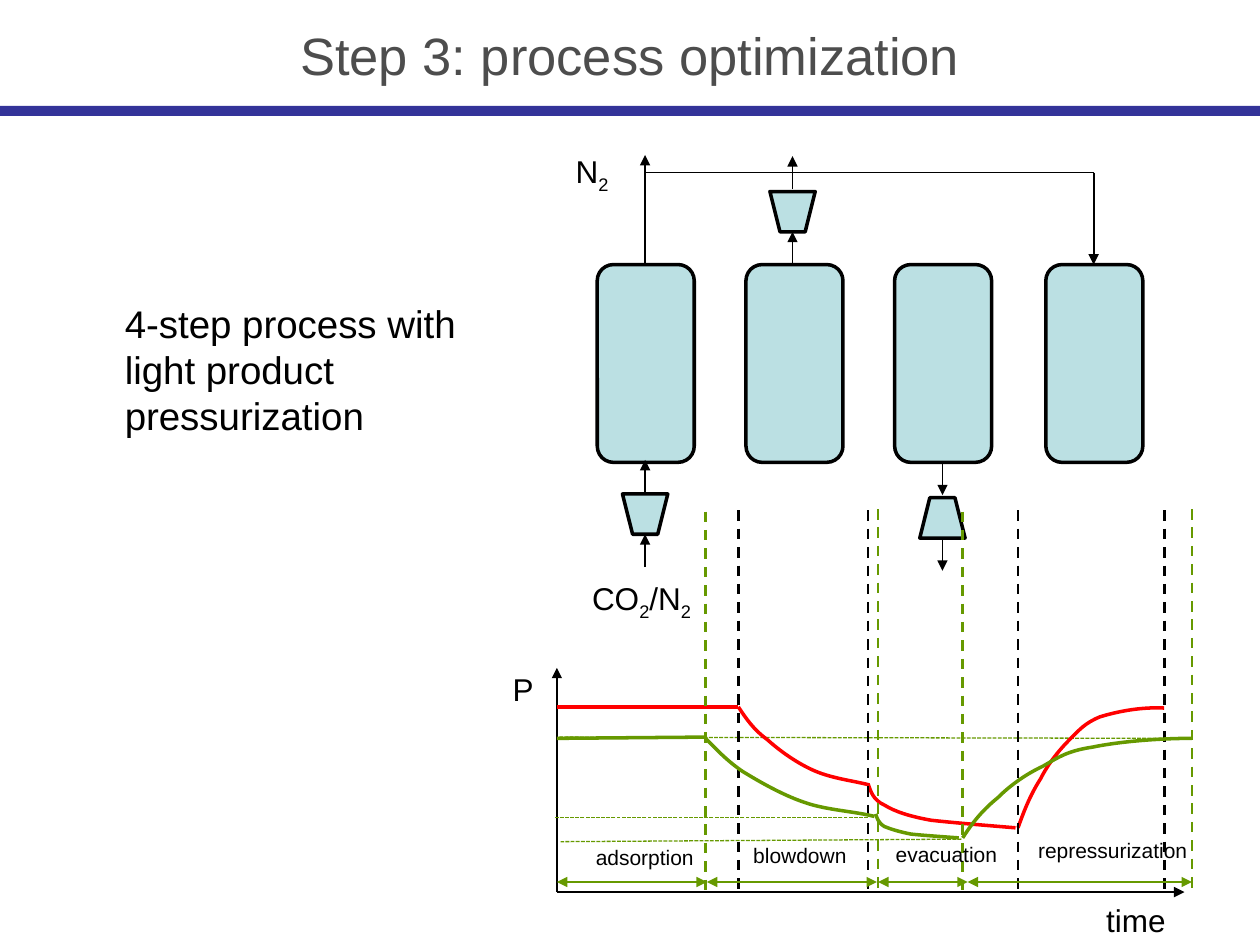
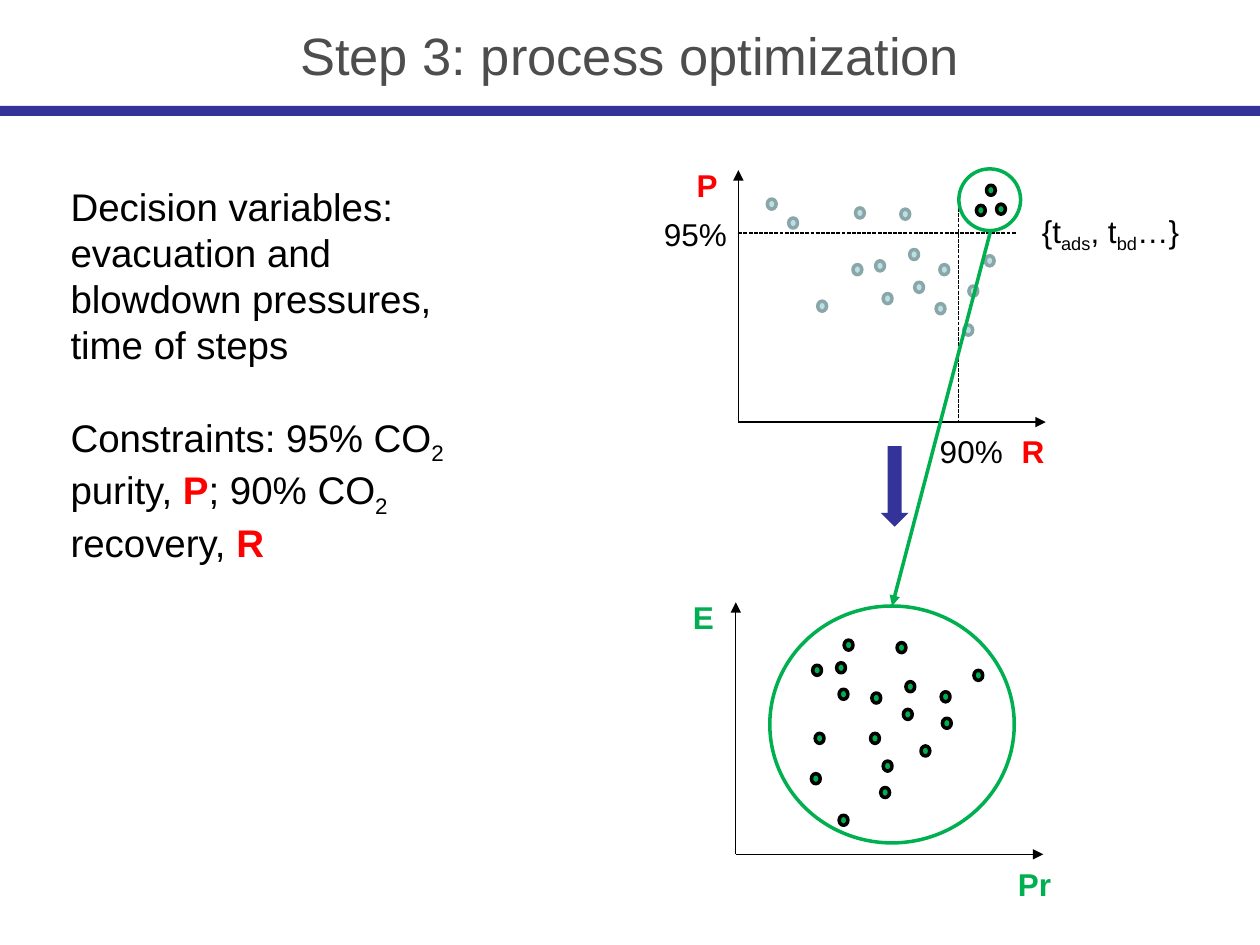
import lxml.etree
import pptx
import pptx.dml.color
import pptx.enum.dml
import pptx.enum.shapes
import pptx.enum.text
import pptx.oxml.ns
import pptx.util

PX = 9144  # EMU per px, 100 px to the inch
SHAPES = pptx.enum.shapes.MSO_SHAPE
DASHES = pptx.enum.dml.MSO_LINE
ALIGN = pptx.enum.text.PP_ALIGN
ANCHOR = pptx.enum.text.MSO_ANCHOR


class Theme:
    font = "Arial"
    title, ink, band = "4D4D4D", "000000", "333399"
    vessel, faded = "BBE0E3", "8AA6A8"
    red, olive, green = "FF0000", "669900", "00B050"
    title_size, body_size, label_size, step_size = 30, 22, 18, 12
    thin, rule, arrow, dash, thick = 0.75, 1, 1.25, 1.5, 2


SUB = {"baseline": -25000}
RED = {"bold": True, "color": Theme.red}
GREEN = {"bold": True, "color": Theme.green}

# ---- Shared content ----
TITLE = "Step 3: process optimization"
TITLE_BOX, BAND_BOX = (0, 7, 1000, 73), (0, 84, 1000, 8)

# ---- Slide 1 content: process diagram and pressure profile ----
PROCESS_BODY = [["4-step process with\nlight product pressurization"]]
PROCESS_BODY_BOX = (89, 233, 365, 121)
VESSEL_LEFTS, VESSEL_TOP, VESSEL_SIZE = (434, 552, 670, 790), 250, (157, 77)
MACHINES = [  # left, top, rotation
    (494, 392, 180),
    (611, 152, 180),
    (730, 395, 0),
]
FLOWS = [  # vertical arrows: x, from y, to y
    (512, 450, 424), (512, 391, 365), (512, 209, 123),
    (629, 209, 184), (629, 150, 124),
    (748, 368, 393), (748, 427, 453),
]
RECYCLE = [((512, 137), (868, 137), False), ((868, 137), (868, 210), True)]
PROCESS_LABELS = [  # left, top, width, runs
    (460, 455, 102, ["CO", ("2", SUB), "/N", ("2", SUB)]),
    (447, 116, 48, ["N", ("2", SUB)]),
    (397, 527, 39, ["P"]),
    (868, 710, 68, ["time"]),
]
STEP_LABELS = [
    (463, 665, 98, ["adsorption"]),
    (588, 664, 94, ["blowdown"]),
    (701, 663, 101, ["evacuation"]),
    (814, 660, 139, ["repressurization"]),
]
STEP_SPANS, STEP_Y = [(442, 561), (561, 696), (697, 768), (768, 946)], 700
RED_LIMITS = [(586, 405), (689, 405), (808, 405), (924, 405)]  # x, top
OLIVE_LIMITS = [(560, 406), (697, 404), (764, 406), (946, 404)]
LIMIT_HEIGHT = 303
LEVELS = [((763, 666), (445, 668)), ((926, 586), (443, 585)), ((689, 649), (440, 649))]
RED_PLATEAU = ((442, 561), (586, 561))
RED_CURVES = [  # start, then two controls and an end for each piece
    [(586, 561), (592, 570), (598, 579), (609, 587), (619, 596), (633, 606),
     (647, 612), (661, 618), (679, 620), (690, 623)],
    [(689, 622), (691, 628), (693, 635), (702, 639), (710, 644), (722, 648),
     (739, 651), (757, 653), (782, 655), (806, 657)],
    [(808, 657), (814, 640), (819, 629), (826, 618), (832, 606), (841, 595),
     (849, 587), (857, 579), (861, 574), (873, 569), (886, 565), (905, 561), (924, 562)],
]
OLIVE_PLATEAU = ((442, 586), (559, 585))
OLIVE_CURVES = [
    [(560, 586), (568, 594), (576, 603), (589, 612), (602, 620), (621, 631),
     (639, 637), (656, 643), (679, 644), (694, 648)],
    [(695, 646), (696, 649), (697, 653), (702, 656), (707, 658), (713, 660),
     (723, 662), (733, 663), (747, 664), (761, 665)],
    [(764, 665), (773, 651), (781, 642), (792, 633), (802, 623), (815, 614),
     (828, 608), (840, 601), (847, 596), (867, 593), (886, 589), (917, 586), (946, 586)],
]

# ---- Slide 2 content: constraint and objective plots ----
DECISION_BODY = [
    ["Decision variables: evacuation and blowdown pressures, time of steps"],
    ["Constraints: 95% CO", ("2", SUB), " purity, ", ("P", RED), "; 90% CO",
     ("2", SUB), " recovery, ", ("R", RED)],
]
DECISION_BODY_BOX = (46, 140, 365, 306)
DECISION_LABELS = [
    (543, 127, 35, [("P", RED)]),
    (517, 166, 71, ["95%"]),
    (736, 338, 71, ["90%"]),
    (801, 338, 38, [("R", RED)]),
    (817, 163, 136, ["{t", ("ads", SUB), ", t", ("bd", SUB), "…}"]),
    (540, 470, 35, [("E", GREEN)]),
    (798, 682, 47, [("Pr", GREEN)]),
]
CONSTRAINTS = [((586, 185), (806, 185)), ((761, 157), (761, 335))]
DOT_SIZE = (7, 8)
REJECTED = [
    (649, 239), (695, 207), (701, 233), (677, 210), (726, 224), (743, 241),
    (765, 258), (609, 158), (626, 173), (679, 165), (715, 166), (746, 210),
    (722, 198), (782, 203), (769, 227),
]
FEASIBLE = [(775, 163), (791, 162), (783, 147)]
OBJECTIVES = [
    (647, 582), (692, 550), (644, 614), (664, 526), (691, 582), (701, 604),
    (666, 647), (645, 528), (670, 508), (666, 547), (712, 510), (717, 563),
    (719, 541), (747, 549), (731, 592), (699, 625), (748, 570), (773, 532),
]
ZOOM_CIRCLES = [(761, 134, 49, 49), (611, 481, 194, 188)]
ZOOM_ARROW = ((786, 184), (708, 481))
DOWN_ARROW = (699, 354, 22, 64)


# ---- Helpers ----
def emu(lengths):
    return [pptx.util.Emu(round(length * PX)) for length in lengths]


def rgb(color):
    return pptx.dml.color.RGBColor.from_string(color)


def set_all(target, **values):
    for name, value in values.items():
        setattr(target, name, value)


def add_element(parent, tag, **attributes):
    return lxml.etree.SubElement(parent, pptx.oxml.ns.qn(tag), **attributes)


def add_runs(paragraph, runs, size, color=Theme.ink):
    for item in runs:
        text, style = item if isinstance(item, tuple) else (item, {})
        for number, line in enumerate(text.split("\n")):
            if number:
                paragraph.add_line_break()
            run = paragraph.add_run()
            run.text = line
            set_all(run.font, name=Theme.font, size=pptx.util.Pt(size),
                    bold=style.get("bold", False))
            run.font.color.rgb = rgb(style.get("color", color))
            if "baseline" in style:
                run._r.get_or_add_rPr().set("baseline", str(style["baseline"]))


def place(shape, box):
    set_all(shape, **dict(zip(("left", "top", "width", "height"), emu(box))))


def paint(shape, fill=None, line=None, width=Theme.thick):
    shape.shadow.inherit = False
    for part, color in ((shape.fill, fill), (shape.line.fill, line)):
        if color:
            part.solid()
            part.fore_color.rgb = rgb(color)
        else:
            part.background()
    if line:
        shape.line.width = pptx.util.Pt(width)


def add_shape(slide, kind, box, fill=None, line=None, rotation=0):
    shape = slide.shapes.add_shape(kind, *emu(box))
    shape.rotation = rotation
    paint(shape, fill, line)


def add_line(slide, start, end, color=Theme.ink, width=Theme.thin, dash=None, ends=()):
    connector = slide.shapes.add_connector(
        pptx.enum.shapes.MSO_CONNECTOR.STRAIGHT, *emu(start + end))
    connector.line.color.rgb = rgb(color)
    set_all(connector.line, width=pptx.util.Pt(width), dash_style=dash)
    for end_name in ends:
        add_element(connector.line._get_or_add_ln(), f"a:{end_name}", type="triangle")
    add_element(connector._element.spPr, "a:effectLst")


def add_arrow(slide, start, end, **style):
    add_line(slide, start, end, ends=("tailEnd",), **style)


def add_axes(slide, origin, top, right):
    add_arrow(slide, origin, (origin[0], top))
    add_arrow(slide, origin, (right, origin[1]))


def add_curve(slide, knots, color):
    points = [emu(knot) for knot in knots]
    builder = slide.shapes.build_freeform(*points[0], scale=1.0)
    builder.add_line_segments(points[1:], close=False)
    curve = builder.convert_to_shape()
    # Every three straight segments become one Bezier piece
    outline = next(curve._element.iter(pptx.oxml.ns.qn("a:path")))
    segments = list(outline)[1:]
    for first in range(0, len(segments), 3):
        piece = add_element(outline, "a:cubicBezTo")
        for segment in segments[first:first + 3]:
            piece.append(segment[0])
            outline.remove(segment)
    paint(curve, line=color)


def add_labels(slide, labels, size, height):
    for left, top, width, runs in labels:
        frame = slide.shapes.add_textbox(*emu((left, top, width, height))).text_frame
        frame.word_wrap = False
        add_runs(frame.paragraphs[0], runs, size)


def add_dots(slide, corners, fill, line):
    for corner in corners:
        add_shape(slide, SHAPES.OVAL, corner + DOT_SIZE, fill, line)


def add_slide(presentation, body, body_box):
    slide = presentation.slides.add_slide(presentation.slide_layouts[1])
    title, content = slide.shapes.title, slide.placeholders[1]
    for shape, box, anchor in ((title, TITLE_BOX, ANCHOR.MIDDLE),
                               (content, body_box, ANCHOR.TOP)):
        place(shape, box)
        set_all(shape.text_frame, vertical_anchor=anchor, word_wrap=True,
                auto_size=pptx.enum.text.MSO_AUTO_SIZE.NONE)
    heading = title.text_frame.paragraphs[0]
    heading.alignment = ALIGN.CENTER
    add_runs(heading, [TITLE], Theme.title_size, Theme.title)
    frame = content.text_frame
    for number, runs in enumerate(body):
        paragraph = frame.add_paragraph() if number else frame.paragraphs[0]
        set_all(paragraph, alignment=ALIGN.LEFT, line_spacing=1.0,
                space_before=pptx.util.Pt(26.5 if number else 0))
        properties = paragraph._p.get_or_add_pPr()
        properties.set("marL", "0")
        properties.set("indent", "0")
        add_element(properties, "a:buNone")
        add_runs(paragraph, runs, Theme.body_size)
    add_shape(slide, SHAPES.RECTANGLE, BAND_BOX, Theme.band)
    return slide


# ---- Slides ----
def build_process(presentation):
    slide = add_slide(presentation, PROCESS_BODY, PROCESS_BODY_BOX)
    # Vessels, machines and gas flows
    for left in VESSEL_LEFTS:
        add_shape(slide, SHAPES.ROUNDED_RECTANGLE, (left, VESSEL_TOP) + VESSEL_SIZE,
                  Theme.vessel, Theme.ink, 90)
    for left, top, rotation in MACHINES:
        add_shape(slide, SHAPES.TRAPEZOID, (left, top, 36, 32),
                  Theme.vessel, Theme.ink, rotation)
    for x, start, end in FLOWS:
        add_arrow(slide, (x, start), (x, end))
    for start, end, pointed in RECYCLE:
        add_line(slide, start, end, width=Theme.rule, ends=("tailEnd",) if pointed else ())
    # Pressure profiles
    add_axes(slide, (442, 708), 530, 940)
    for start, end in LEVELS:
        add_line(slide, start, end, Theme.olive, dash=DASHES.SQUARE_DOT)
    for plateau, curves, color, limits, limit_color in (
            (RED_PLATEAU, RED_CURVES, Theme.red, RED_LIMITS, Theme.ink),
            (OLIVE_PLATEAU, OLIVE_CURVES, Theme.olive, OLIVE_LIMITS, Theme.olive)):
        add_line(slide, *plateau, color, Theme.thick)
        for knots in curves:
            add_curve(slide, knots, color)
        for x, top in limits:
            add_line(slide, (x, top), (x, top + LIMIT_HEIGHT), limit_color,
                     Theme.dash, DASHES.DASH)
    # Step durations and labels
    for left, right in STEP_SPANS:
        add_line(slide, (left, STEP_Y), (right, STEP_Y), Theme.olive, Theme.arrow,
                 ends=("headEnd", "tailEnd"))
    add_labels(slide, PROCESS_LABELS, Theme.label_size, 40)
    add_labels(slide, STEP_LABELS, Theme.step_size, 30)


def build_decision(presentation):
    slide = add_slide(presentation, DECISION_BODY, DECISION_BODY_BOX)
    # Axes, limits and labels
    add_axes(slide, (586, 335), 135, 830)
    add_axes(slide, (584, 678), 478, 828)
    for start, end in CONSTRAINTS:
        add_line(slide, start, end, dash=DASHES.SQUARE_DOT)
    add_labels(slide, DECISION_LABELS, Theme.label_size, 40)
    # Candidate points
    add_dots(slide, REJECTED, Theme.vessel, Theme.faded)
    add_dots(slide, FEASIBLE + OBJECTIVES, Theme.green, Theme.ink)
    # Zoom from the feasible points to the objectives
    for box in ZOOM_CIRCLES:
        add_shape(slide, SHAPES.OVAL, box, line=Theme.green)
    add_arrow(slide, *ZOOM_ARROW, color=Theme.green, width=Theme.thick)
    add_shape(slide, SHAPES.DOWN_ARROW, DOWN_ARROW, Theme.band)


def main():
    presentation = pptx.Presentation()
    set_all(presentation, slide_width=1000 * PX, slide_height=750 * PX)
    build_process(presentation)
    build_decision(presentation)
    presentation.save("out.pptx")


if __name__ == "__main__":
    main()
